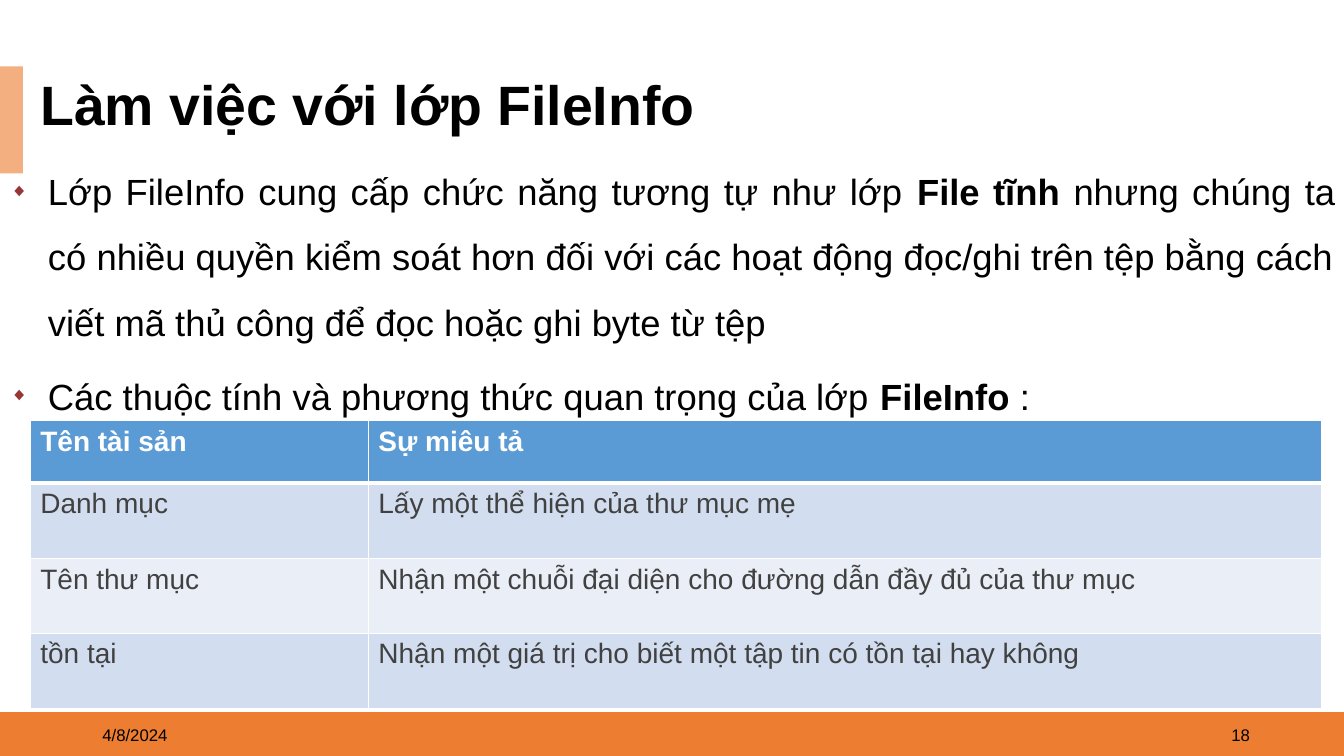
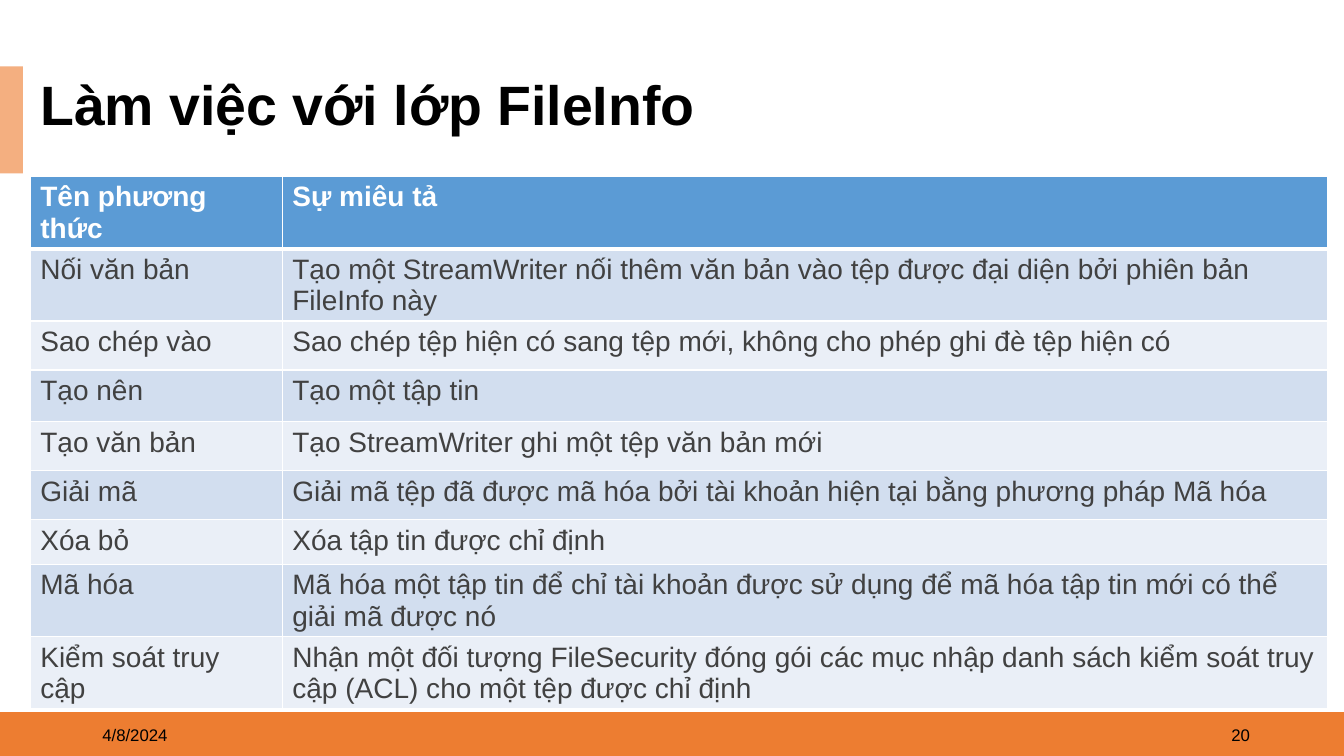
from dataclasses import dataclass

from lxml import etree
from pptx import Presentation
from pptx.dml.color import RGBColor
from pptx.enum.shapes import MSO_SHAPE
from pptx.enum.text import MSO_ANCHOR, MSO_AUTO_SIZE, PP_ALIGN
from pptx.oxml.ns import qn
from pptx.util import Pt

RECT = MSO_SHAPE.RECTANGLE
MIDDLE, TOP = MSO_ANCHOR.MIDDLE, MSO_ANCHOR.TOP
LEFT, RIGHT, JUSTIFY = PP_ALIGN.LEFT, PP_ALIGN.RIGHT, PP_ALIGN.JUSTIFY
NO_FIT = MSO_AUTO_SIZE.NONE
TITLE_AND_BODY, TITLE_ONLY = 1, 5

TITLE = "Làm việc với lớp FileInfo"
DATE = "4/8/2024"

# Runs alternate: plain, bold, plain
INTRO = [
    ("Lớp FileInfo cung cấp chức năng tương tự như lớp ", "File tĩnh ",
     "nhưng chúng ta có nhiều quyền kiểm soát hơn đối với các hoạt động đọc/ghi "
     "trên tệp bằng cách viết mã thủ công để đọc hoặc ghi byte từ tệp"),
    ("Các thuộc tính và phương thức quan trọng của lớp ", "FileInfo ", ":"),
]

PROPERTIES = [
    ("Tên tài sản", "Sự miêu tả"),
    ("Danh mục", "Lấy một thể hiện của thư mục mẹ"),
    ("Tên thư mục", "Nhận một chuỗi đại diện cho đường dẫn đầy đủ của thư mục"),
    ("tồn tại", "Nhận một giá trị cho biết một tập tin có tồn tại hay không"),
]

METHODS = [
    ("Tên phương thức", "Sự miêu tả"),
    ("Nối văn bản", "Tạo một StreamWriter nối thêm văn bản vào tệp được đại diện "
                    "bởi phiên bản FileInfo này"),
    ("Sao chép vào", "Sao chép tệp hiện có sang tệp mới, không cho phép ghi đè tệp hiện có"),
    ("Tạo nên", "Tạo một tập tin"),
    ("Tạo văn bản", "Tạo StreamWriter ghi một tệp văn bản mới"),
    ("Giải mã", "Giải mã tệp đã được mã hóa bởi tài khoản hiện tại bằng phương pháp Mã hóa"),
    ("Xóa bỏ", "Xóa tập tin được chỉ định"),
    ("Mã hóa", "Mã hóa một tập tin để chỉ tài khoản được sử dụng để mã hóa tập tin mới "
               "có thể giải mã được nó"),
    ("Kiểm soát truy cập", "Nhận một đối tượng FileSecurity đóng gói các mục nhập danh sách "
                           "kiểm soát truy cập (ACL) cho một tệp được chỉ định"),
]

ONE_LINE, TWO_LINES = 35, 50
SLIDES = [
    {"number": "18", "intro": INTRO, "rows": PROPERTIES, "top": 300.5,
     "widths": (241.5, 681), "heights": (44.6, 54, 53.3, 54)},
    {"number": "20", "intro": None, "rows": METHODS, "top": 126,
     "widths": (180, 746.5),
     "heights": (TWO_LINES, TWO_LINES, ONE_LINE, 37, ONE_LINE, ONE_LINE, 32,
                 TWO_LINES, TWO_LINES)},
]


@dataclass(frozen=True)
class Theme:
    font: str = "Arial"
    text: str = "000000"
    paper: str = "FFFFFF"
    bar: str = "ED7D31"
    tab: str = "F4AF80"
    bullet: str = "973735"
    header: str = "5B9BD5"
    bands: tuple = ("D2DEEF", "EAEFF7")
    cell_text: str = "414141"
    title_size: float = 39.6
    body_size: float = 26
    table_size: float = 20
    footer_size: float = 12


T = Theme()
WIDTH, HEIGHT = 960, 540
TABLE_LEFT = 21.6
BAR = (0, 508.7, WIDTH, HEIGHT - 508.7)
SIDE_TAB = (0, 47.4, 16.4, 76.5)
TITLE_BOX = (21.6, 54, 587, 45.4)
BODY_BOX = (0, 101.5, WIDTH, 196.5)
DATE_BOX = (66, 510.5, 216, 28.8)
NUMBER_BOX = (684, 510.5, 216, 28.8)


def apply(target, **values):
    for name, value in values.items():
        setattr(target, name, value)


def place(shape, box):
    apply(shape, **dict(zip(("left", "top", "width", "height"), map(Pt, box))))


def paint(target, color):
    target.fill.solid()
    target.fill.fore_color.rgb = RGBColor.from_string(color)


def write(p, text, size, color=T.text, bold=False):
    r = p.add_run()
    r.text = text
    apply(r.font, name=T.font, size=Pt(size), bold=bold)
    r.font.color.rgb = RGBColor.from_string(color)


def add_element(parent, tag, **attributes):
    return etree.SubElement(parent, qn(tag), attributes)


def add_master_bands(prs, s):
    """Draw the bands once and move them behind everything on the master."""
    tree = prs.slide_master.shapes.element
    for box, color in ((BAR, T.bar), (SIDE_TAB, T.tab)):
        band = s.shapes.add_shape(RECT, *map(Pt, box))
        band.shadow.inherit = False
        paint(band, color)
        band.line.fill.background()
        tree.insert(2, band.element)


def set_title(s):
    title = s.shapes.title
    place(title, TITLE_BOX)
    paint(title, T.paper)
    tf = title.text_frame
    apply(tf, auto_size=NO_FIT, word_wrap=True, vertical_anchor=MIDDLE)
    p = tf.paragraphs[0]
    apply(p, alignment=LEFT, line_spacing=0.9)
    write(p, TITLE, T.title_size, bold=True)


def add_footer(s, number):
    for text, box, alignment in ((DATE, DATE_BOX, LEFT), (number, NUMBER_BOX, RIGHT)):
        tf = s.shapes.add_textbox(*map(Pt, box)).text_frame
        apply(tf, word_wrap=True, vertical_anchor=MIDDLE)
        p = tf.paragraphs[0]
        p.alignment = alignment
        write(p, text, T.footer_size)


def add_bullet(p):
    pPr = p._p.get_or_add_pPr()
    pPr.set("marL", str(Pt(27)))
    pPr.set("indent", str(-Pt(27)))
    add_element(add_element(pPr, "a:buClr"), "a:srgbClr", val=T.bullet)
    add_element(pPr, "a:buSzPct", val="50000")
    add_element(pPr, "a:buFont", typeface=T.font)
    add_element(pPr, "a:buChar", char="◆")


def fill_body(s, items):
    body = s.placeholders[1]
    place(body, BODY_BOX)
    tf = body.text_frame
    apply(tf, auto_size=NO_FIT, word_wrap=True, vertical_anchor=TOP, margin_right=Pt(6))
    for i, runs in enumerate(items):
        p = tf.add_paragraph() if i else tf.paragraphs[0]
        add_bullet(p)
        apply(p, alignment=JUSTIFY, line_spacing=1.5,
              space_before=Pt(3 if i else 0), space_after=Pt(3))
        for j, text in enumerate(runs):
            write(p, text, T.body_size, bold=j == 1)


def add_borders(cell, bottom):
    tcPr = cell._tc.get_or_add_tcPr()
    for side, width in (("L", 1), ("R", 1), ("T", 1), ("B", bottom)):
        line = add_element(tcPr, f"a:ln{side}", w=str(Pt(width)))
        add_element(add_element(line, "a:solidFill"), "a:srgbClr", val=T.paper)


def add_data_table(s, rows, top, widths, heights):
    frame = s.shapes.add_table(len(rows), len(widths), Pt(TABLE_LEFT), Pt(top),
                               Pt(sum(widths)), Pt(sum(heights)))
    table = frame.table
    for column, width in zip(table.columns, widths):
        column.width = Pt(width)
    for i, (row, height, texts) in enumerate(zip(table.rows, heights, rows)):
        row.height = Pt(height)
        is_header = i == 0
        for cell, text in zip(row.cells, texts):
            cell.margin_bottom = 0
            add_borders(cell, 3 if is_header else 1)
            paint(cell, T.header if is_header else T.bands[(i - 1) % 2])
            write(cell.text_frame.paragraphs[0], text, T.table_size,
                  T.paper if is_header else T.cell_text, bold=is_header)


def main():
    prs = Presentation()
    apply(prs, slide_width=Pt(WIDTH), slide_height=Pt(HEIGHT))
    for i, content in enumerate(SLIDES):
        layout = TITLE_AND_BODY if content["intro"] else TITLE_ONLY
        s = prs.slides.add_slide(prs.slide_layouts[layout])
        if i == 0:
            add_master_bands(prs, s)
        set_title(s)
        add_footer(s, content["number"])
        if content["intro"]:
            fill_body(s, content["intro"])
        add_data_table(s, *(content[key] for key in ("rows", "top", "widths", "heights")))
    prs.save("out.pptx")


if __name__ == "__main__":
    main()
